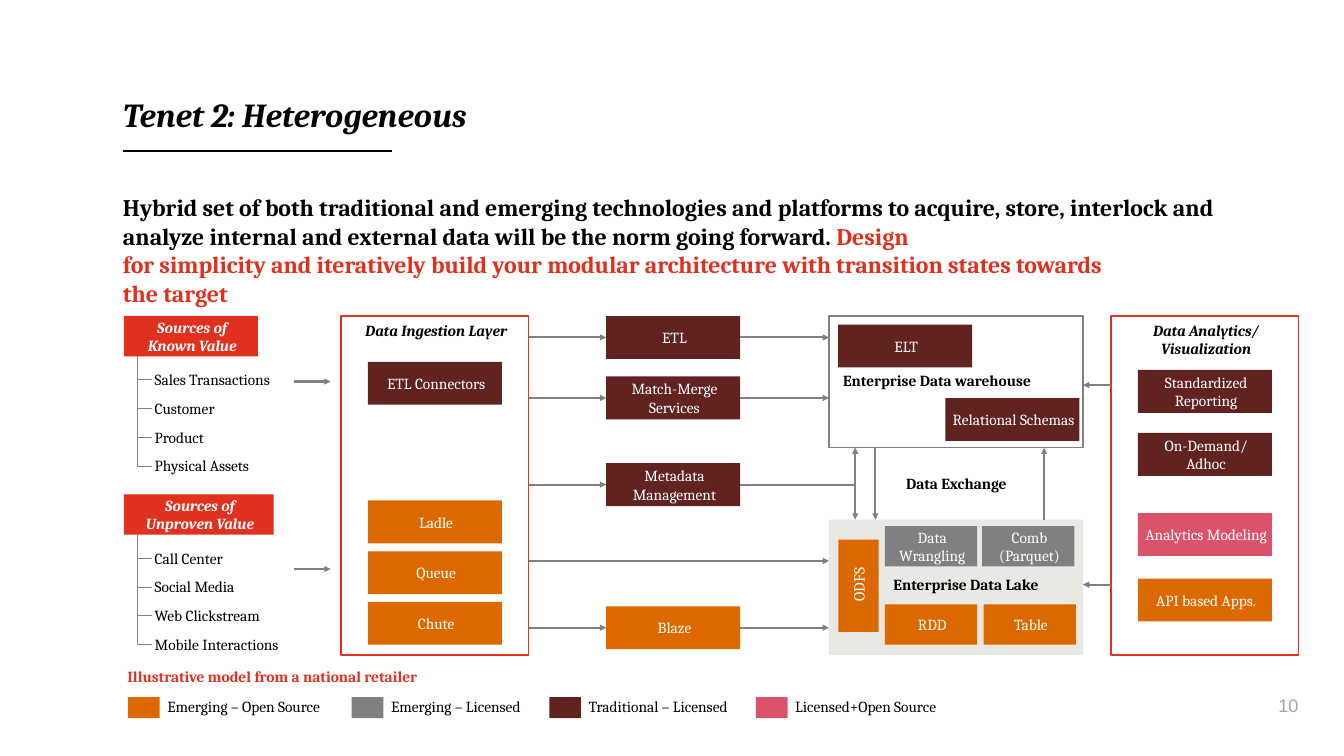
from dataclasses import dataclass

import pptx
import pptx.dml.color
import pptx.enum.shapes
import pptx.enum.text
import pptx.oxml
import pptx.oxml.ns
import pptx.util

# The slide is a grid of 26.67 columns by 15 rows, each unit one inch.
COLS, ROWS = 26.67, 15
FONT = "Cambria"
BLACK, WHITE, RED, GRAY = "000000", "FFFFFF", "E0301E", "808080"
MAROON, ORANGE, PINK, SAND = "602320", "DC6900", "DB536A", "EAE8E2"
BLOCK_W, BLOCK_H = 2.66, 0.85
SMALL_W, SMALL_H = 1.83, 0.8
LABEL_H = 0.37
LEFT, CENTER, RIGHT = (pptx.enum.text.PP_ALIGN.LEFT, pptx.enum.text.PP_ALIGN.CENTER,
                       pptx.enum.text.PP_ALIGN.RIGHT)
MIDDLE, TOP = pptx.enum.text.MSO_ANCHOR.MIDDLE, pptx.enum.text.MSO_ANCHOR.TOP


@dataclass
class Box:
    x: float
    y: float
    w: float
    h: float

    @property
    def right(self):
        return self.x + self.w

    @property
    def bottom(self):
        return self.y + self.h

    def at(self, dx, dy, w, h):
        """Box offset from this one's top left corner."""
        return Box(self.x + dx, self.y + dy, w, h)

    def emu(self):
        return [pptx.util.Inches(v) for v in (self.x, self.y, self.w, self.h)]


def rgb(value):
    return pptx.dml.color.RGBColor.from_string(value)


def add_text(p, text, size=22, color=BLACK, bold=False, italic=False, font=FONT):
    for i, line in enumerate(text.split("\n")):
        if i:
            p.add_line_break()
        r = p.add_run()
        r.text = line
        r.font.name, r.font.size = font, pptx.util.Pt(size)
        r.font.bold, r.font.italic = bold, italic
        r.font.color.rgb = rgb(color)


def set_frame(tf, insets, wrap=True, anchor=TOP):
    tf.margin_left, tf.margin_top, tf.margin_right, tf.margin_bottom = map(pptx.util.Inches, insets)
    tf.word_wrap, tf.vertical_anchor = wrap, anchor


def label(s, box, text, align=LEFT, inset=0.05, **style):
    tf = s.shapes.add_textbox(*box.emu()).text_frame
    set_frame(tf, (inset, 0, 0, 0), wrap=False)
    tf.auto_size = pptx.enum.text.MSO_AUTO_SIZE.SHAPE_TO_FIT_TEXT
    tf.paragraphs[0].alignment = align
    add_text(tf.paragraphs[0], text, **style)


def block(s, box, paragraphs=(), fill=None, line=None, anchor=MIDDLE, top=0.03, **style):
    sp = s.shapes.add_shape(pptx.enum.shapes.MSO_SHAPE.RECTANGLE, *box.emu())
    sp.shadow.inherit = False
    if fill:
        sp.fill.solid()
        sp.fill.fore_color.rgb = rgb(fill)
    else:
        sp.fill.background()
    if line:
        sp.line.color.rgb, sp.line.width = rgb(line), pptx.util.Pt(2.25)
    else:
        sp.line.fill.background()
    tf = sp.text_frame
    set_frame(tf, (0.1, top, 0.05, 0.03), anchor=anchor)
    for i, text in enumerate(paragraphs):
        p = tf.add_paragraph() if i else tf.paragraphs[0]
        p.alignment = CENTER
        add_text(p, text, **{"color": WHITE, **style})
    return sp


def connect(s, start, end, color=GRAY, width=3, arrow=True, bent=False, source=None, target=None):
    """Line from start to end; a bent one runs level first, then upright."""
    kind = pptx.enum.shapes.MSO_CONNECTOR
    c = s.shapes.add_connector(kind.ELBOW if bent else kind.STRAIGHT,
                               *[pptx.util.Inches(v) for v in (*start, *end)])
    c.line.color.rgb, c.line.width = rgb(color), pptx.util.Pt(width)
    props = c._element.spPr
    if bent:
        props.find(pptx.oxml.ns.qn("a:prstGeom")).set("prst", "bentConnector2")
    if arrow:
        ns = pptx.oxml.ns.nsdecls("a")
        c.line._get_or_add_ln().append(pptx.oxml.parse_xml(f'<a:tailEnd {ns} type="triangle"/>'))
    props.append(pptx.oxml.parse_xml(f'<a:effectLst {pptx.oxml.ns.nsdecls("a")}/>'))
    if source:
        c.begin_connect(source, 3)
    if target:
        c.end_connect(target, 1)


def heading(s, box):
    title = s.shapes.title
    title.left, title.top, title.width, title.height = box.at(0, 0, box.w, 0.81).emu()
    tf = title.text_frame
    set_frame(tf, (0, 0, 0, 0), anchor=pptx.enum.text.MSO_ANCHOR.BOTTOM)
    tf.auto_size = pptx.enum.text.MSO_AUTO_SIZE.NONE
    tf.paragraphs[0].alignment = LEFT
    add_text(tf.paragraphs[0], "Tenet 2: Heterogeneous", size=48, bold=True, italic=True)
    connect(s, (box.x, box.y + 1.15), (box.x + 5.33, box.y + 1.15), BLACK, 2.75, arrow=False)

    tf = s.shapes.add_textbox(*box.at(0, 1.98, box.w, 2.29).emu()).text_frame
    set_frame(tf, (0, 0, 0, 0))
    p = tf.paragraphs[0]
    p.space_after = pptx.util.Pt(6)
    add_text(p, "Hybrid set of both traditional and emerging technologies and platforms to acquire, "
             "store, interlock and analyze internal and external data will be the norm going "
             "forward. ", size=34, bold=True)
    add_text(p, "Design \nfor simplicity and iteratively build your modular architecture with "
             "transition states towards \nthe target", size=34, color=RED, bold=True)


def source_tree(s, box, header, items, arrow_dy):
    block(s, box, header, RED, bold=True, italic=True)
    for i, (text, width) in enumerate(items):
        leaf = box.at(0.56, 1.08 + 0.57 * i, width, LABEL_H)
        label(s, leaf, text)
        connect(s, (leaf.x, leaf.y + LABEL_H / 2), (box.x + 0.27, box.bottom),
                width=1, arrow=False, bent=True)
    y = box.y + arrow_dy
    connect(s, (box.x + 3.38, y), (box.x + 4.1, y))


def panel(s, box, title, blocks):
    """Framed column of centred blocks, each given as (offset, text, fill)."""
    block(s, box, [title], line=RED, anchor=TOP, top=0.1, color=BLACK, bold=True, italic=True)
    for dy, text, fill in blocks:
        block(s, box.at((box.w - BLOCK_W) / 2, dy, BLOCK_W, BLOCK_H), [text], fill)


def processing(s, box, blocks):
    """Column of blocks fed from the left; returns each shape with its box."""
    placed = []
    for dy, text, fill in blocks:
        b = box.at(0, dy, BLOCK_W, BLOCK_H)
        sp = block(s, b, [text], fill)
        y = b.y + b.h / 2
        connect(s, (box.x - 1.54, y), (b.x, y), target=sp)
        placed.append((sp, b))
    return placed


def warehouse(s, box):
    block(s, box, line=GRAY)
    block(s, box.at(0.18, 0.17, BLOCK_W, BLOCK_H), ["ELT"], MAROON)
    block(s, box.at(2.31, 1.63, BLOCK_W, BLOCK_H), ["Relational Schemas"], MAROON)
    label(s, box.at(0.23, 1.1, 4.4, LABEL_H), "Enterprise Data warehouse", bold=True)


def data_lake(s, box):
    block(s, box, fill=SAND)
    block(s, box.at(-0.33, 0.91, SMALL_W, SMALL_H), ["ODFS"], ORANGE).rotation = 270
    for dx, dy, text, fill in [(1.11, 0.13, "Data Wrangling", GRAY), (3.04, 0.13, "Comb (Parquet)", GRAY),
                               (1.11, 1.68, "RDD", ORANGE), (3.07, 1.68, "Table", ORANGE)]:
        block(s, box.at(dx, dy, SMALL_W, SMALL_H), [text], fill)
    label(s, box.at(1.23, 1.11, 3.43, LABEL_H), "Enterprise Data Lake", bold=True)


def legend(s, box):
    label(s, box.at(-0.06, 0, 6.72, LABEL_H), "Illustrative model from a national retailer",
          color=RED, bold=True)
    for dx, text, width, fill in [(0, "Emerging – Open Source", 3.48, ORANGE),
                                  (4.44, "Emerging – Licensed", 2.94, GRAY),
                                  (8.36, "Traditional – Licensed", 3.14, MAROON),
                                  (12.46, "Licensed+Open Source", 3.2, PINK)]:
        block(s, box.at(dx, 0.59, 0.63, 0.42), fill=fill)
        label(s, box.at(dx + 0.73, 0.59, width, LABEL_H), text)


def flows(s, ingest, steps, store, lake, analytics):
    for sp, b in steps[:2] + steps[3:]:
        y = b.y + b.h / 2
        connect(s, (b.right, y), (store.x, y), source=sp)
    sp, b = steps[2]
    for end_y in (store.bottom, lake.y):
        connect(s, (b.right, b.y + b.h / 2), (store.x + 0.52, end_y), bent=True, source=sp)
    connect(s, (store.x + 0.92, store.bottom), (store.x + 0.92, lake.y))
    connect(s, (store.x + 4.27, lake.y), (store.x + 4.27, store.bottom))
    connect(s, (ingest.right, lake.y + 0.82), (lake.x, lake.y + 0.82))
    for y in (store.y + 1.37, lake.y + 1.29):
        connect(s, (analytics.x, y), (store.right, y))
    label(s, store.at(1.48, 3.14, 2.41, LABEL_H), "Data Exchange", bold=True)


def main():
    prs = pptx.Presentation()
    prs.slide_width, prs.slide_height = pptx.util.Inches(COLS), pptx.util.Inches(ROWS)
    s = prs.slides.add_slide(prs.slide_layouts[5])
    top, height = 6.27, 6.73
    ingest, analytics = Box(6.77, top, 3.72, height), Box(22.05, top, 3.72, height)
    store, lake = Box(16.45, top, 5.04, 2.61), Box(16.45, 10.31, 5.04, 2.69)

    heading(s, Box(2.44, 1.85, 23.33, 4.27))
    source_tree(s, Box(2.46, top, 2.66, 0.8), ["Sources of", "Known Value"],
                [("Sales Transactions", 2.6), ("Customer", 1.38), ("Product", 1.13),
                 ("Physical Assets", 2.11)], 1.3)
    source_tree(s, Box(2.46, 9.81, 2.97, 0.8), ["Sources of", "Unproven Value"],
                [("Call Center", 1.57), ("Social Media", 1.8), ("Web Clickstream", 2.37),
                 ("Mobile Interactions", 2.74)], 1.48)
    panel(s, ingest, "Data Ingestion Layer",
          [(0.91, "ETL Connectors", MAROON), (3.66, "Ladle", ORANGE),
           (4.67, "Queue", ORANGE), (5.67, "Chute", ORANGE)])
    panel(s, analytics, "Data Analytics/\nVisualization",
          [(1.07, "Standardized Reporting", MAROON), (2.32, "On-Demand/\nAdhoc", MAROON),
           (3.91, "Analytics Modeling", PINK), (5.21, "API based Apps.", ORANGE)])
    steps = processing(s, Box(12.03, top, BLOCK_W, height),
                       [(0, "ETL", MAROON), (1.2, "Match-Merge Services", MAROON),
                        (2.92, "Metadata\nManagement", MAROON), (5.76, "Blaze", ORANGE)])
    warehouse(s, store)
    data_lake(s, lake)
    flows(s, ingest, steps, store, lake, analytics)
    legend(s, Box(2.54, 13.24, 16.4, 1.01))
    label(s, Box(25.32, 13.78, 0.45, 0.44), "10", RIGHT, inset=0, size=26, color="A6A6A6", font="Arial")
    prs.save("out.pptx")


if __name__ == "__main__":
    main()
